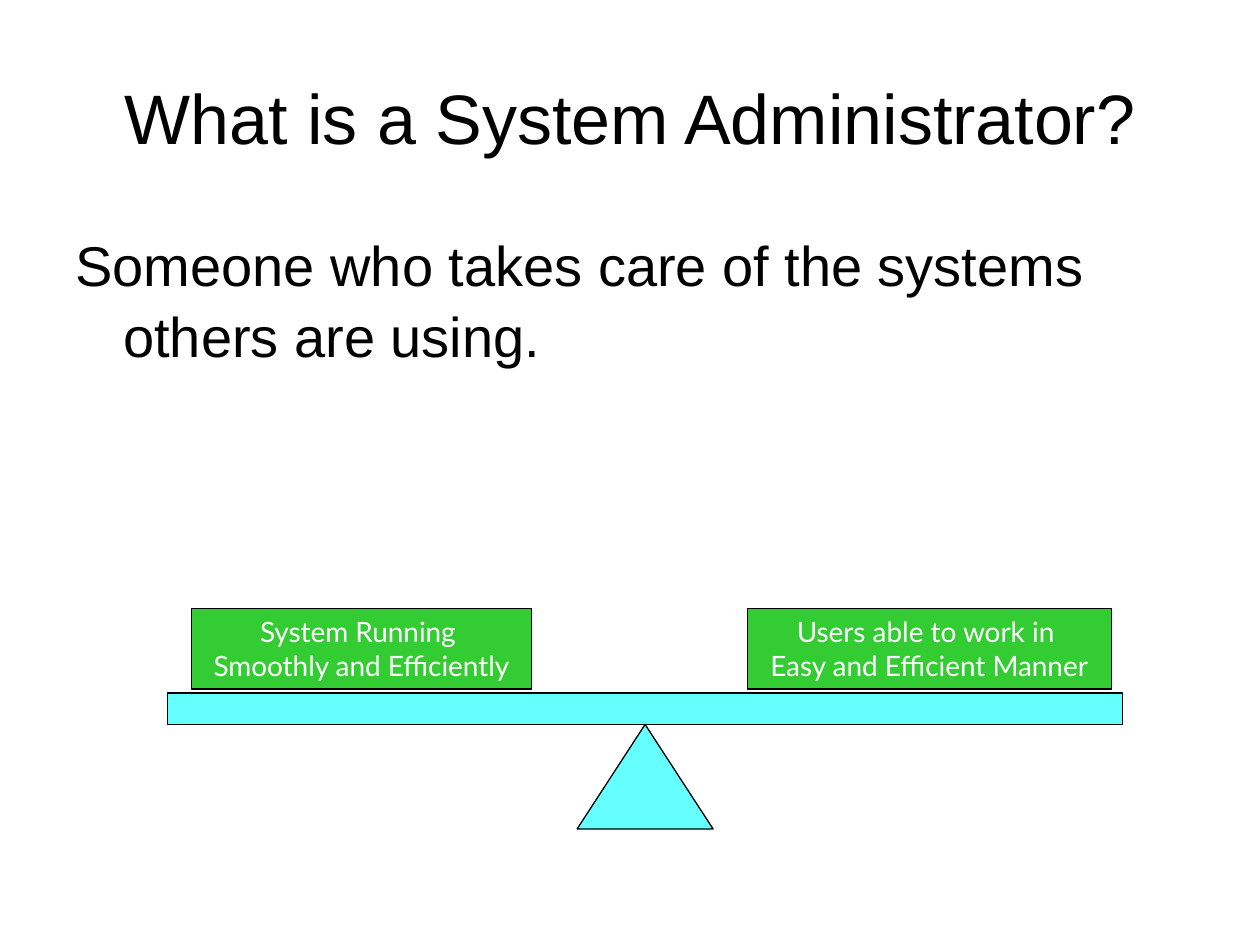
from pptx import Presentation
from pptx.dml.color import RGBColor
from pptx.enum import shapes, text
from pptx.util import Inches, Pt

CYAN, GREEN, BLACK, WHITE = "66FFFF", "33CC33", "000000", "FFFFFF"


def colour(hex_value):
    return RGBColor.from_string(hex_value)


def style(paragraph, font, size, hex_value, align):
    paragraph.font.name = font
    paragraph.font.size = Pt(size)
    paragraph.font.color.rgb = colour(hex_value)
    paragraph.alignment = align


def add_title(slide, left, top, width, height):
    title = slide.shapes.title
    title.left, title.top = Inches(left), Inches(top)
    title.width, title.height = Inches(width), Inches(height)
    frame = title.text_frame
    frame.text = "What is a System Administrator?"
    frame.vertical_anchor = text.MSO_ANCHOR.MIDDLE
    style(frame.paragraphs[0], "Arial", 40, BLACK, text.PP_ALIGN.CENTER)


def add_definition(slide, left, top, width, height):
    """Body sentence with a hanging indent."""
    box = slide.shapes.add_textbox(Inches(left), Inches(top), Inches(width), Inches(height))
    frame = box.text_frame
    frame.word_wrap = True
    frame.text = "Someone who takes care of the systems others are using."
    sentence = frame.paragraphs[0]
    style(sentence, "Arial", 32, BLACK, text.PP_ALIGN.LEFT)
    sentence.line_spacing = 1.06
    indent = sentence._p.get_or_add_pPr()
    indent.set("marL", str(Inches(0.38)))
    indent.set("indent", str(Inches(-0.38)))


def add_solid(slide, preset, fill, left, top, width, height):
    """Filled shape with a thin black outline."""
    solid = slide.shapes.add_shape(
        preset, Inches(left), Inches(top), Inches(width), Inches(height))
    solid.shadow.inherit = False
    solid.fill.solid()
    solid.fill.fore_color.rgb = colour(fill)
    solid.line.color.rgb = colour(BLACK)
    solid.line.width = Pt(0.75)
    return solid


def add_weight(slide, label, left, top, width, height):
    weight = add_solid(slide, shapes.MSO_SHAPE.RECTANGLE, GREEN, left, top, width, height)
    frame = weight.text_frame
    frame.word_wrap = False
    frame.auto_size = text.MSO_AUTO_SIZE.SHAPE_TO_FIT_TEXT
    frame.vertical_anchor = text.MSO_ANCHOR.TOP
    frame.text = label
    for line in frame.paragraphs:
        style(line, "Lato", 16, WHITE, text.PP_ALIGN.CENTER)


def add_balance(slide, left, top, width, height):
    """Two weights on a beam that rests on a central pivot."""
    weight_height, gap, beam_height = 0.64, 0.03, 0.25
    beam_top = top + weight_height + gap
    pivot_top = beam_top + beam_height
    pivot_width = 1.08
    add_solid(slide, shapes.MSO_SHAPE.ISOSCELES_TRIANGLE, CYAN,
              left + (width - pivot_width) / 2, pivot_top,
              pivot_width, top + height - pivot_top)
    add_solid(slide, shapes.MSO_SHAPE.RECTANGLE, CYAN, left, beam_top, width, beam_height)
    weights = [
        ("System Running \nSmoothly and Efficiently", 0.19, 2.7),
        ("Users able to work in \nEasy and Efficient Manner", 4.6, 2.89),
    ]
    for label, offset, weight_width in weights:
        add_weight(slide, label, left + offset, top, weight_width, weight_height)


def main():
    deck = Presentation()
    deck.slide_width, deck.slide_height = Inches(10), Inches(7.5)
    slide = deck.slides.add_slide(deck.slide_layouts[5])
    add_title(slide, 0.5, 0.3, 9, 1.25)
    add_definition(slide, 0.5, 1.75, 9, 4.95)
    add_balance(slide, 1.33, 4.83, 7.58, 1.75)
    deck.save("out.pptx")


if __name__ == "__main__":
    main()
